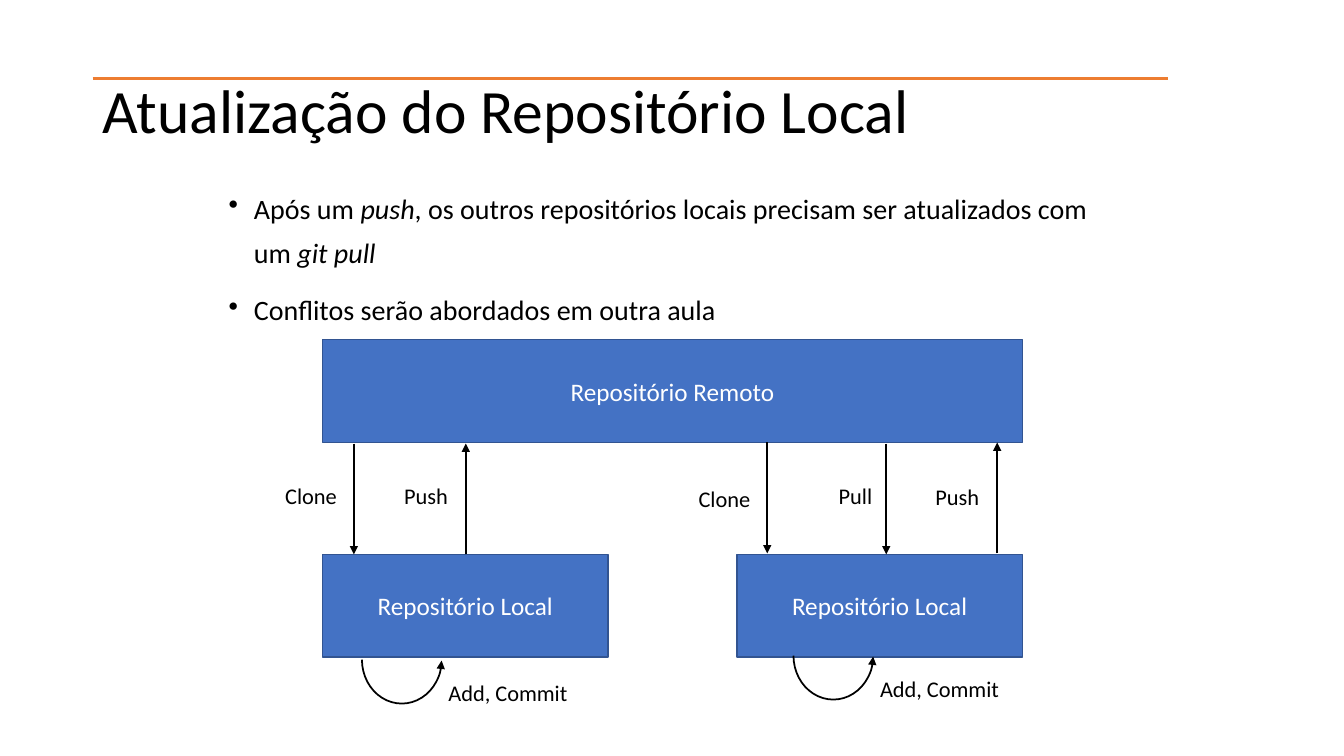
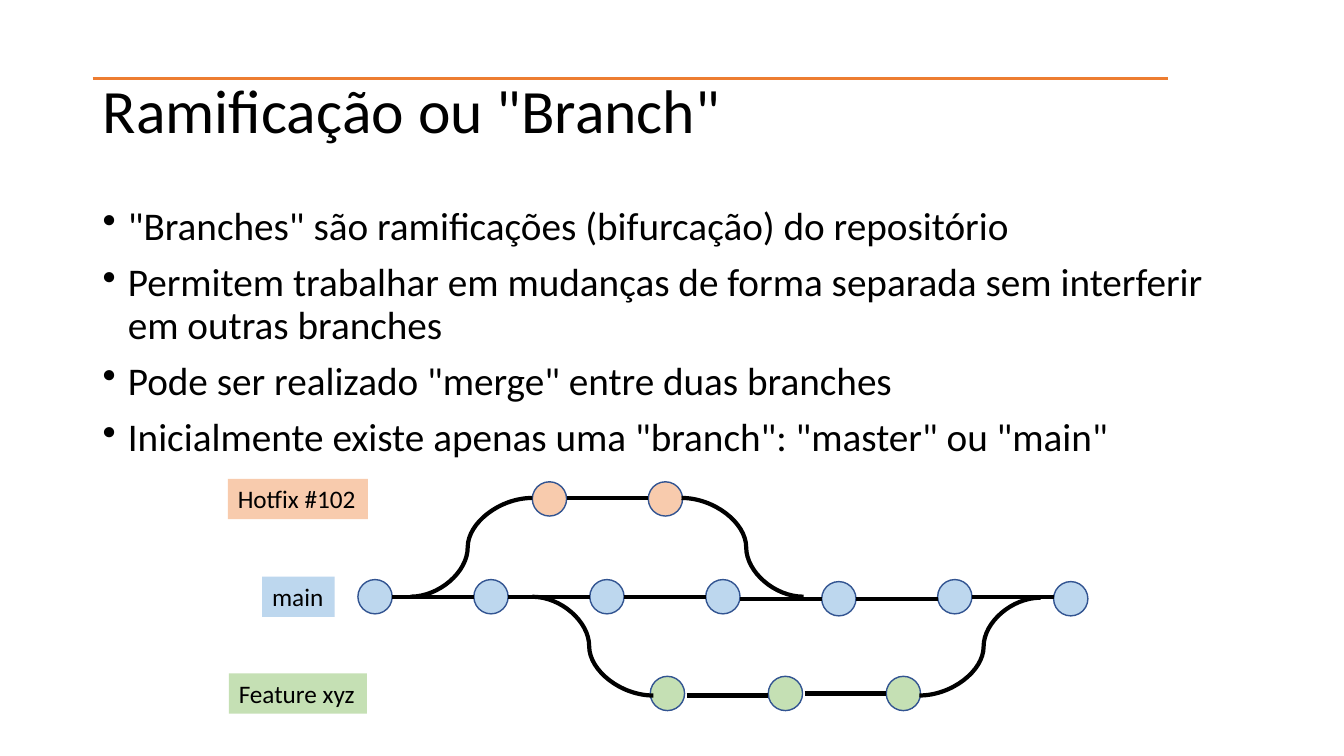
"""Build two slides on repository updates and branches."""
from dataclasses import dataclass
from itertools import pairwise

from pptx import Presentation
from pptx import util as u
from pptx.dml.color import RGBColor
from pptx.enum import shapes, text
from pptx.oxml.ns import qn
from lxml import etree


@dataclass(frozen=True)
class Theme:
    font: str = "Calibri"
    black: str = "000000"
    white: str = "FFFFFF"
    accent: str = "ED7D31"
    blue: str = "4472C4"
    edge: str = "325491"
    sky: str = "BDD7EE"
    peach: str = "F8CBAD"
    green: str = "C5E0B4"
    title: int = 44
    body: int = 28
    small: int = 20
    box: int = 18
    label: int = 16
    rule: float = 2
    thin: float = 1.25
    thick: float = 3


@dataclass(frozen=True)
class Box:
    name: str
    left: float
    top: float
    width: float


@dataclass(frozen=True)
class Arrow:
    name: str
    x: float
    top: float
    left: float
    label: float
    width: float
    up: bool = False


@dataclass(frozen=True)
class Branch:
    name: str
    fill: str
    tag: tuple[float, float, float]
    start: float
    step: float
    tops: list[float]
    links: list[float]
    gap: float = 0


T = Theme()
DOT = 0.34
SHAPE = shapes.MSO_SHAPE
LINK = shapes.MSO_CONNECTOR
ALIGN = text.PP_ALIGN
ANCHOR = text.MSO_ANCHOR

BOXES = [
    Box("Repositório Remoto", 3.2, 3.37, 6.94),
    Box("Repositório Local", 3.2, 5.5, 2.83),
    Box("Repositório Local", 7.31, 5.5, 2.83),
]
ARROWS = [
    Arrow("Clone", 3.51, 4.4, 2.73, 4.73, 0.72),
    Arrow("Push", 4.62, 4.4, 3.91, 4.73, 0.64, up=True),
    Arrow("Clone", 7.61, 4.39, 6.83, 4.76, 0.72),
    Arrow("Pull", 8.79, 4.4, 8.22, 4.73, 0.54),
    Arrow("Push", 9.89, 4.39, 9.18, 4.74, 0.64, up=True),
]
LOOPS = [(3.59, 6.11), (7.87, 6.07)]
BRANCHES = [
    Branch("Hotfix #102", T.peach, (2.26, 4.75, 1.39), 5.28, 1.15,
           [4.78, 4.78], [4.94]),
    Branch("main", T.sky, (2.6, 5.72, 0.72), 3.55, 1.15,
           [5.75, 5.75, 5.75, 5.75, 5.77, 5.75, 5.77],
           [5.92, 5.92, 5.92, 5.94, 5.94, 5.92]),
    Branch("Feature xyz", T.green, (2.27, 6.68, 1.37), 6.45, 1.17,
           [6.71, 6.71, 6.71], [6.9, 6.88], gap=0.02),
]
CURVES = [
    (4.07, 5.92, 5.28, 4.94),
    (7.97, 5.92, 6.76, 4.94),
    (5.28, 5.92, 6.48, 6.9),
    (10.32, 5.93, 9.12, 6.9),
]


def tint(code: str) -> RGBColor:
    return RGBColor.from_string(code)


def node(parent, tag: str, **attrs: str):
    return etree.SubElement(parent, qn(tag), attrs)


def write(shape, *lines: str, size: int, color: str = T.black, align=ALIGN.LEFT,
          anchor=ANCHOR.TOP, wrap: bool = True, space: float | None = None,
          bullet: bool = False) -> None:
    frame = shape.text_frame
    frame.word_wrap = wrap
    frame.vertical_anchor = anchor
    frame.auto_size = (text.MSO_AUTO_SIZE.NONE if wrap
                       else text.MSO_AUTO_SIZE.SHAPE_TO_FIT_TEXT)
    for i, line in enumerate(lines):
        para = frame.add_paragraph() if i else frame.paragraphs[0]
        para.alignment = align
        if space:
            para.line_spacing = space
        if bullet:
            para.space_before = u.Pt(10)
            props = para._p.get_or_add_pPr()
            props.set("marL", str(u.Inches(0.25)))
            props.set("indent", str(u.Inches(-0.25)))
            node(props, "a:buChar", char="•")
        for j, part in enumerate(line.split("*")):
            if part:
                run = para.add_run()
                run.text = part
                font = run.font
                font.name, font.size = T.font, u.Pt(size)
                font.italic = j % 2 == 1
                font.color.rgb = tint(color)


def field(slide, left: float, top: float, width: float, height: float,
          *lines: str, **form) -> None:
    shape = slide.shapes.add_textbox(*map(u.Inches, (left, top, width, height)))
    write(shape, *lines, **form)


def draw(slide, kind, left: float, top: float, width: float, height: float,
         fill: str | None = None, edge: str | None = T.edge, weight: float = 1):
    shape = slide.shapes.add_shape(kind, *map(u.Inches, (left, top, width, height)))
    shape.shadow.inherit = False
    if fill:
        shape.fill.solid()
        shape.fill.fore_color.rgb = tint(fill)
    else:
        shape.fill.background()
    if edge:
        shape.line.color.rgb = tint(edge)
        shape.line.width = u.Pt(weight)
    else:
        shape.line.fill.background()
    return shape


def join(slide, x1: float, y1: float, x2: float, y2: float, weight: float,
         color: str = T.black, tip: bool = False, bend: int | None = None) -> None:
    kind = LINK.CURVE if bend else LINK.STRAIGHT
    line = slide.shapes.add_connector(kind, *map(u.Inches, (x1, y1, x2, y2)))
    line.line.color.rgb = tint(color)
    line.line.width = u.Pt(weight)
    props = line._element.spPr
    if tip:
        node(props.find(qn("a:ln")), "a:tailEnd", type="triangle")
    if bend:
        guide = props.find(qn("a:prstGeom")).find(qn("a:avLst"))
        node(guide, "a:gd", name="adj1", fmla=f"val {bend * 1000}")
    node(props, "a:effectLst")


def start(deck, title: str):
    slide = deck.slides.add_slide(deck.slide_layouts[6])
    join(slide, 0.92, 0.78, 11.58, 0.78, T.rule, T.accent)
    field(slide, 0.92, 0.4, 11.5, 1.45, title, size=T.title,
          anchor=ANCHOR.MIDDLE, space=0.9)
    return slide


def loop(slide, left: float, top: float) -> None:
    arc = draw(slide, SHAPE.ARC, left, top, 0.79, 0.87, edge=T.black, weight=T.thin)
    arc.rotation = 180
    arc.adjustments[0] = 108.75
    node(arc._element.spPr.find(qn("a:ln")), "a:headEnd", type="triangle")
    field(slide, left + 0.76, top + 0.58, 1.4, 0.37, "Add, Commit",
          size=T.label, wrap=False)


def update(deck) -> None:
    slide = start(deck, "Atualização do Repositório Local")
    field(slide, 2.17, 1.75, 9, 5.33,
          "Após um *push*, os outros repositórios locais precisam ser "
          "atualizados com um *git pull*",
          "Conflitos serão abordados em outra aula",
          size=T.small, space=1.3, bullet=True)
    for box in BOXES:
        shape = draw(slide, SHAPE.RECTANGLE, box.left, box.top, box.width, 1.02, T.blue)
        write(shape, box.name, size=T.box, color=T.white, align=ALIGN.CENTER,
              anchor=ANCHOR.MIDDLE)
    for arrow in ARROWS:
        ends = arrow.top, arrow.top + 1.1
        tail, head = reversed(ends) if arrow.up else ends
        join(slide, arrow.x, tail, arrow.x, head, T.thin, tip=True)
        field(slide, arrow.left, arrow.label, arrow.width, 0.37, arrow.name,
              size=T.label, wrap=False)
    for spot in LOOPS:
        loop(slide, *spot)


def track(slide, branch: Branch) -> None:
    spots = [branch.start + branch.step * i for i in range(len(branch.tops))]
    for left, top in zip(spots, branch.tops):
        draw(slide, SHAPE.OVAL, left, top, DOT, DOT, branch.fill)
    for (left, right), y in zip(pairwise(spots), branch.links):
        join(slide, left + DOT + branch.gap, y, right, y, T.thick)
    tag = draw(slide, SHAPE.RECTANGLE, *branch.tag, 0.4, branch.fill, edge=None)
    write(tag, branch.name, size=T.box, wrap=False)


def fork(deck) -> None:
    slide = start(deck, 'Ramificação ou "Branch"')
    field(slide, 0.92, 2, 11.5, 4.76,
          '"Branches" são ramificações (bifurcação) do repositório',
          "Permitem trabalhar em mudanças de forma separada sem interferir "
          "em outras branches",
          'Pode ser realizado "merge" entre duas branches',
          'Inicialmente existe apenas uma "branch": "master" ou "main"',
          size=T.body, space=0.9, bullet=True)
    for branch in BRANCHES:
        track(slide, branch)
    for curve in CURVES:
        join(slide, *curve, T.thick, bend=47)


def main() -> None:
    deck = Presentation()
    deck.slide_width, deck.slide_height = u.Inches(13.33), u.Inches(7.5)
    update(deck)
    fork(deck)
    deck.save("out.pptx")


if __name__ == "__main__":
    main()
